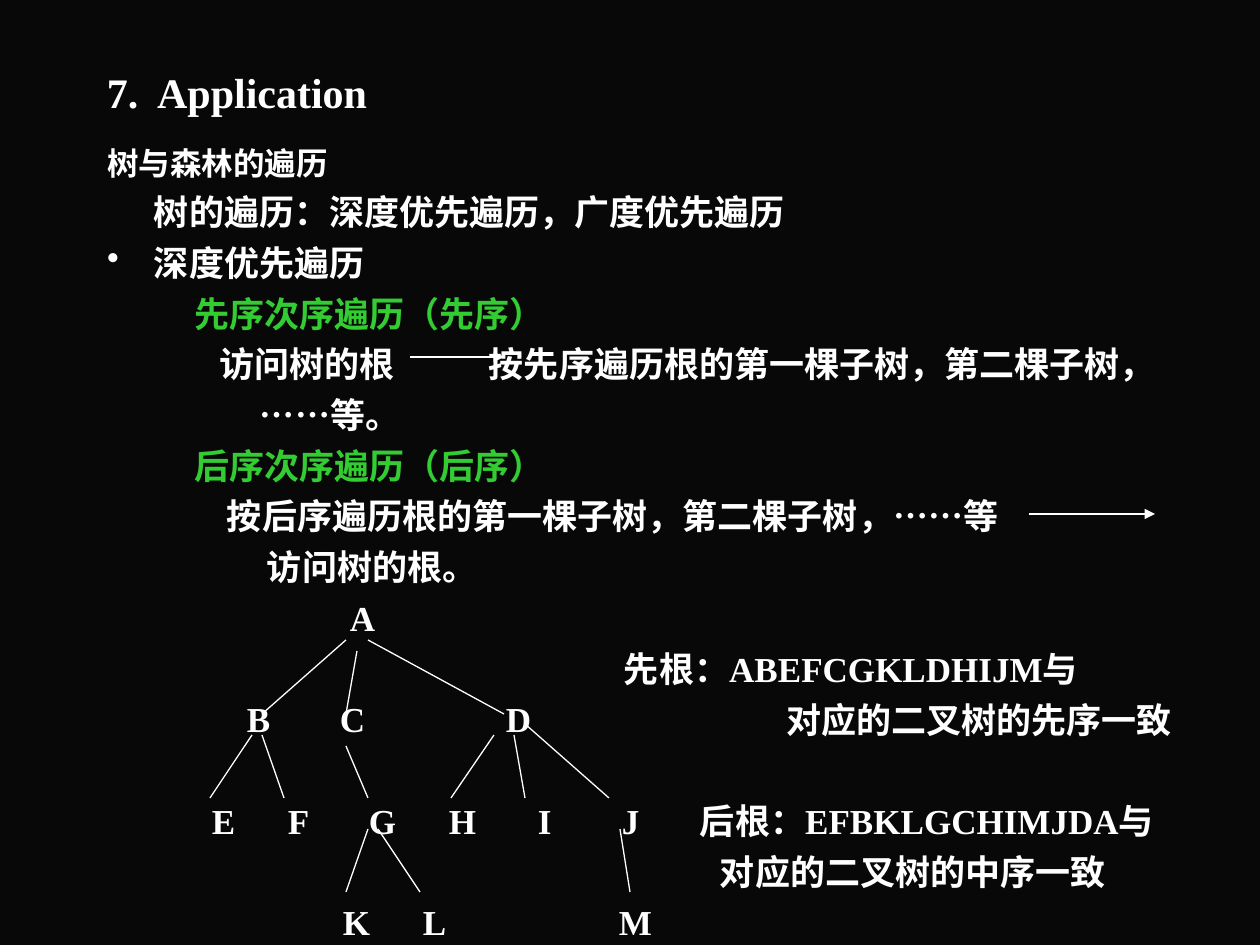
from lxml.etree import SubElement
from pptx import Presentation
from pptx.dml.color import RGBColor as RGB
from pptx.enum.shapes import MSO_CONNECTOR as Conn
from pptx.enum.text import MSO_ANCHOR as Anchor
from pptx.oxml.ns import qn
from pptx.util import Emu, Pt

FONT = "Times New Roman"
COLORS = {"back": "080808", "text": "FFFFFF", "green": "33CC33"}
LEFT, TOP, PITCH = 107, 131, 29

BODY = [
    {"text": "树与森林的遍历", "size": 18},
    {"text": "树的遍历：深度优先遍历，广度优先遍历", "indent": 47},
    {"text": "深度优先遍历", "bullet": 47},
    {"text": "先序次序遍历（先序）", "indent": 87, "color": "green"},
    {"text": "访问树的根", "indent": 112},
    {"text": "……等。", "indent": 153},
    {"text": "后序次序遍历（后序）", "indent": 87, "color": "green"},
    {"text": "按后序遍历根的第一棵子树，第二棵子树，……等", "indent": 120},
    {"text": "访问树的根。", "indent": 160},
]
SUBTREES = [{"text": "按先序遍历根的第一棵子树，第二棵子树，"}]
PREORDER = [
    {"text": "先根：ABEFCGKLDHIJM与"},
    {"text": "对应的二叉树的先序一致", "indent": 162},
]
POSTORDER = [
    {"text": "后根：EFBKLGCHIMJDA与"},
    {"text": "对应的二叉树的中序一致", "indent": 20},
]
NODES = {
    10: {"A": 350},
    12: {"B": 247, "C": 340, "D": 506},
    14: {"E": 212, "F": 288, "G": 369, "H": 449, "I": 538, "J": 622},
    16: {"K": 343, "L": 423, "M": 619},
}
EDGES = [
    (346, 640, 262, 714), (357, 651, 346, 714), (368, 640, 504, 714),
    (252, 735, 210, 798), (262, 735, 284, 798), (346, 746, 368, 798),
    (494, 735, 451, 798), (514, 735, 525, 798), (525, 724, 609, 798),
    (368, 829, 346, 892), (378, 829, 420, 892), (620, 829, 630, 892),
]
ARROWS = [(410, 357, 504, 357), (1029, 514, 1155, 514)]


def px(n):
    """Turn pixels into EMU."""
    return Emu(round(n * 914400 / 126))


def rgb(name):
    """Look up a named colour."""
    return RGB.from_string(COLORS[name])


def row_top(row):
    """Give the top in pixels of a text row, counted from 1."""
    return TOP + round((row - 1) * PITCH * 126 / 72)


def add_paragraph(p, text, size=20, color="text", indent=0, bullet=0, pitch=PITCH):
    """Fill one paragraph with a formatted run."""
    if pitch:
        p.line_spacing = Pt(pitch)
    pPr = p._p.get_or_add_pPr()
    pPr.set("marL", str(px(bullet)))
    pPr.set("indent", str(px(indent - bullet)))
    if bullet:
        SubElement(pPr, qn("a:buChar"), char="•")
    r = p.add_run()
    r.text = text
    for key, value in {"name": FONT, "size": Pt(size), "bold": True}.items():
        setattr(r.font, key, value)
    r.font.color.rgb = rgb(color)


def add_text(slide, left, top, width, height, paragraphs, anchor=Anchor.TOP):
    """Add a text box without insets."""
    tf = slide.shapes.add_textbox(*map(px, (left, top, width, height))).text_frame
    layout = {"word_wrap": True, "vertical_anchor": anchor, "margin_left": 0,
              "margin_right": 0, "margin_top": 0, "margin_bottom": 0}
    for key, value in layout.items():
        setattr(tf, key, value)
    for i, fmt in enumerate(paragraphs):
        add_paragraph(tf.add_paragraph() if i else tf.paragraphs[0], **fmt)


def add_line(shapes, ends, arrow=False):
    """Add a thin straight line, with an arrowhead if wanted."""
    c = shapes.add_connector(Conn.STRAIGHT, *map(px, ends))
    c.line.color.rgb = rgb("text")
    c.line.width = Pt(0.75)
    if arrow:
        SubElement(c.line._get_or_add_ln(), qn("a:tailEnd"), type="triangle")
    SubElement(c._element.spPr, qn("a:effectLst"))


def add_tree(slide):
    """Add the tree's node letters and its grouped edges."""
    for row, nodes in NODES.items():
        for name, left in nodes.items():
            add_text(slide, left, row_top(row), 40, 51, [{"text": name}])
    group = slide.shapes.add_group_shape()
    for ends in EDGES:
        add_line(group.shapes, ends)


def main():
    """Build and save the slide."""
    prs = Presentation()
    prs.slide_width, prs.slide_height = px(1260), px(945)
    slide = prs.slides.add_slide(prs.slide_layouts[6])
    fill = slide.background.fill
    fill.solid()
    fill.fore_color.rgb = rgb("back")
    title = {"text": "7.  Application", "size": 24, "pitch": 0}
    add_text(slide, LEFT, 55, 1046, 73, [title], Anchor.MIDDLE)
    add_text(slide, LEFT, TOP, 1100, 457, BODY)
    add_text(slide, 489, row_top(5), 720, 51, SUBTREES)
    add_text(slide, 624, row_top(11), 600, 102, PREORDER)
    add_text(slide, 700, row_top(14), 520, 102, POSTORDER)
    for ends in ARROWS:
        add_line(slide.shapes, ends, arrow=True)
    add_tree(slide)
    prs.save("out.pptx")


if __name__ == "__main__":
    main()
